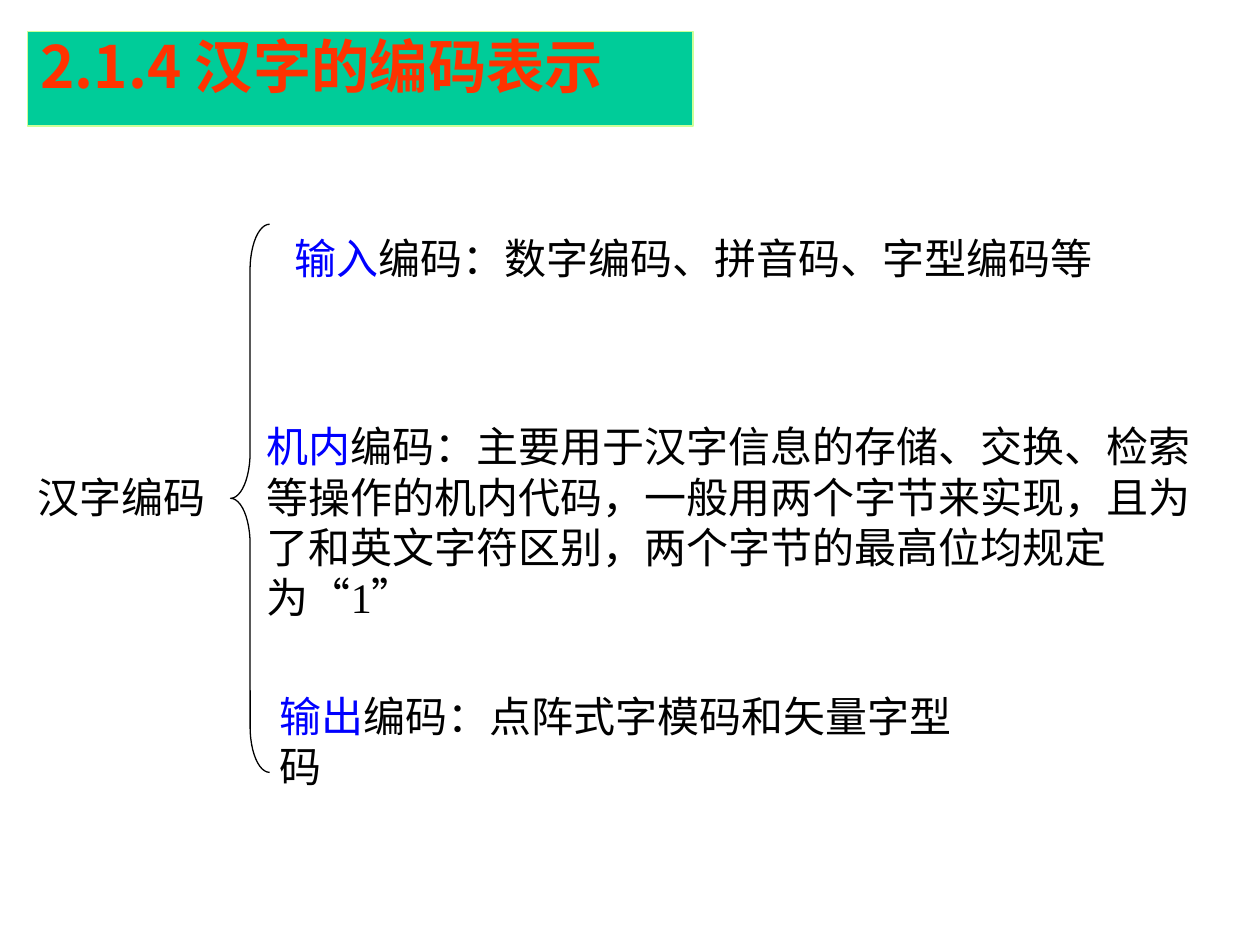
from lxml.etree import SubElement
from pptx import Presentation
from pptx.dml.color import RGBColor
from pptx.enum.shapes import MSO_SHAPE
from pptx.enum.text import MSO_ANCHOR, MSO_AUTO_SIZE, PP_ALIGN
from pptx.oxml.ns import qn
from pptx.util import Inches, Pt

SANS, SERIF = "Noto Sans CJK SC", "Times New Roman"
BLACK, BLUE, RED, GREEN, LIME = "000000", "0000FF", "FF3300", "00CC99", "CCFF99"

TITLE = "2.1.4 汉字的编码表示"
TITLE_BOX = (0.22, 0.25, 5.28, 0.75)
BRACE_BOX = (1.83, 1.78, 0.31, 4.35)
BRANCHES = [
    ((0.2, 3.69, 1.53, 0.5), False, [[("汉字编码", BLACK)]]),
    ((2.24, 1.8, 6.53, 0.9), False,
     [[("输入", BLUE), ("编码：数字编码、拼音码、字型编码等", BLACK)]]),
    ((2.02, 3.29, 7.98, 1.3), True,
     [[("机内", BLUE), ("编码：主要用于汉字信息的存储、交换、检索", BLACK)],
      [("等操作的机内代码，一般用两个字节来实现，且为", BLACK)],
      [("了和英文字符区别，两个字节的最高位均规定为“1”", BLACK)]]),
    ((2.12, 5.43, 5.86, 0.5), False,
     [[("输出", BLUE), ("编码：点阵式字模码和矢量字型码", BLACK)]]),
]


def color(value):
    """Turn a hex string into a colour."""
    return RGBColor.from_string(value)


def add_run(paragraph, text, size, font, ink, bold=False):
    """Add one run, with the sans face for Chinese characters."""
    run = paragraph.add_run()
    run.text = text
    run.font.size, run.font.name, run.font.bold = Pt(size), font, bold
    run.font.color.rgb = color(ink)
    SubElement(run.font._element, qn("a:ea")).set("typeface", SANS)


def set_title(slide):
    """Place and format the title banner."""
    title = slide.shapes.title
    title.left, title.top, title.width, title.height = map(Inches, TITLE_BOX)
    title.fill.solid()
    title.fill.fore_color.rgb = color(GREEN)
    title.line.color.rgb = color(LIME)
    title.line.width = Pt(0.75)
    frame = title.text_frame
    frame.auto_size = MSO_AUTO_SIZE.NONE
    frame.vertical_anchor = MSO_ANCHOR.TOP
    heading = frame.paragraphs[0]
    heading.alignment = PP_ALIGN.LEFT
    heading.line_spacing = 0.9
    add_run(heading, TITLE, 33.3, SANS, RED, True)


def add_brace(slide):
    """Draw the brace that joins the topic to its branches."""
    brace = slide.shapes.add_shape(MSO_SHAPE.LEFT_BRACE, *map(Inches, BRACE_BOX))
    brace.adjustments[0] = 1.17
    brace.shadow.inherit = False
    brace.fill.background()
    brace.line.color.rgb = color(BLACK)
    brace.line.width = Pt(0.75)


def add_branch(slide, box, wrap, lines):
    """Add one text block of coloured runs."""
    frame = slide.shapes.add_textbox(*map(Inches, box)).text_frame
    frame.word_wrap = wrap
    if wrap:
        frame.margin_right = Inches(0.3)
    for index, line in enumerate(lines):
        paragraph = frame.add_paragraph() if index else frame.paragraphs[0]
        paragraph.alignment = PP_ALIGN.LEFT
        for text, ink in line:
            add_run(paragraph, text, 24, SERIF, ink)


def main():
    """Build and save the slide."""
    deck = Presentation()
    deck.slide_width, deck.slide_height = Inches(10), Inches(7.5)
    slide = deck.slides.add_slide(deck.slide_layouts[5])
    set_title(slide)
    add_brace(slide)
    for branch in BRANCHES:
        add_branch(slide, *branch)
    deck.save("out.pptx")


if __name__ == "__main__":
    main()
